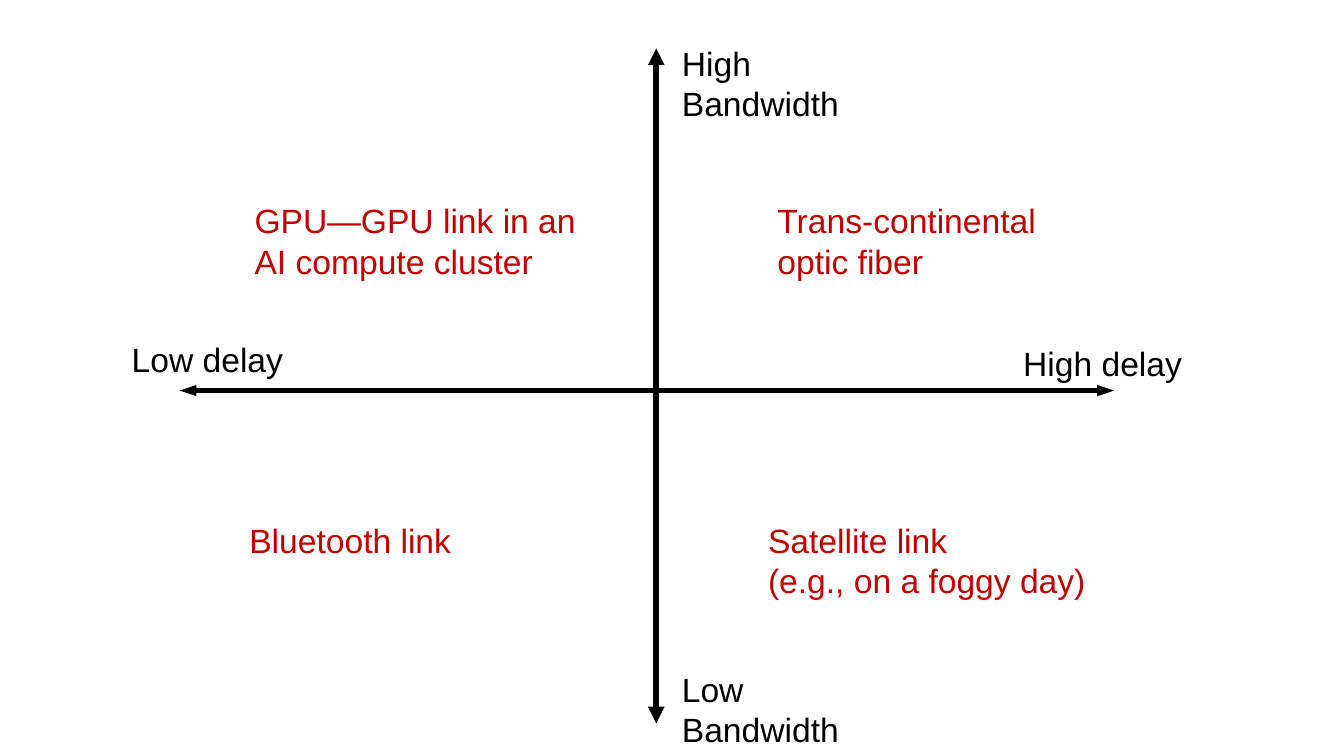
from dataclasses import dataclass

from lxml.etree import SubElement
from pptx import Presentation
from pptx.dml.color import RGBColor
from pptx.enum.shapes import MSO_CONNECTOR as Connector
from pptx.enum.text import MSO_AUTO_SIZE as AutoSize
from pptx.oxml.ns import qn
from pptx.util import Pt

EMU_PER_PX = 9525


@dataclass(frozen=True)
class Theme:
    font: str = "Arial"
    text_size: int = 24
    axis_width: int = 4
    axis_color: str = "000000"
    example_color: str = "C00000"


@dataclass(frozen=True)
class Box:
    left: int
    top: int
    width: int
    height: int


THEME = Theme()


def px(length):
    return length * EMU_PER_PX


def add_text(slide, text, box, color=THEME.axis_color, size=THEME.text_size):
    label = slide.shapes.add_textbox(
        px(box.left), px(box.top), px(box.width), px(box.height))
    frame = label.text_frame
    frame.word_wrap = True
    frame.auto_size = AutoSize.SHAPE_TO_FIT_TEXT
    frame.text = text
    for paragraph in frame.paragraphs:
        for run in paragraph.runs:
            run.font.name = THEME.font
            run.font.size = Pt(size)
            run.font.color.rgb = RGBColor.from_string(color)


def add_axis(slide, start, end, head_width):
    axis = slide.shapes.add_connector(
        Connector.STRAIGHT, *(px(coordinate) for coordinate in start + end))
    axis.line.width = Pt(THEME.axis_width)
    axis.line.color.rgb = RGBColor.from_string(THEME.axis_color)
    outline = axis.line._get_or_add_ln()
    for arrow in ("a:headEnd", "a:tailEnd"):
        SubElement(outline, qn(arrow), type="triangle", w=head_width, len="med")
    SubElement(axis._element.spPr, qn("a:effectLst"))


def add_axes(slide, box):
    right, bottom = box.left + box.width, box.top + box.height
    origin_x, origin_y = box.left + 454, box.top + 326
    add_axis(slide, (origin_x, box.top), (origin_x, bottom), "med")
    add_axis(slide, (right, origin_y), (box.left, origin_y), "sm")

    for bandwidth, top in (("High", box.top - 10), ("Low", bottom - 57)):
        add_text(slide, f"{bandwidth}\nBandwidth", Box(origin_x + 15, top, 181, 87))
    for delay, left, rise in (("High", right - 96, 50), ("Low", box.left - 55, 54)):
        add_text(slide, f"{delay} delay", Box(left, origin_y - rise, 181, 48))


def add_examples(slide, box):
    upper, lower = box.top + 140, box.top + 444
    examples = (
        ("Trans-continental optic fiber", 560, upper, 87),
        ("Satellite link\n(e.g., on a foggy day)", 551, lower, 87),
        ("GPU—GPU link in an AI compute cluster", 62, upper, 87),
        ("Bluetooth link", 57, lower, 48),
    )
    for link, offset, top, height in examples:
        add_text(slide, link, Box(box.left + offset, top, 339, height),
                 color=THEME.example_color)


def main():
    deck = Presentation()
    deck.slide_width, deck.slide_height = px(1280), px(720)
    slide = deck.slides.add_slide(deck.slide_layouts[6])
    quadrants = Box(171, 46, 890, 643)
    add_axes(slide, quadrants)
    add_examples(slide, quadrants)
    deck.save("out.pptx")


if __name__ == "__main__":
    main()
